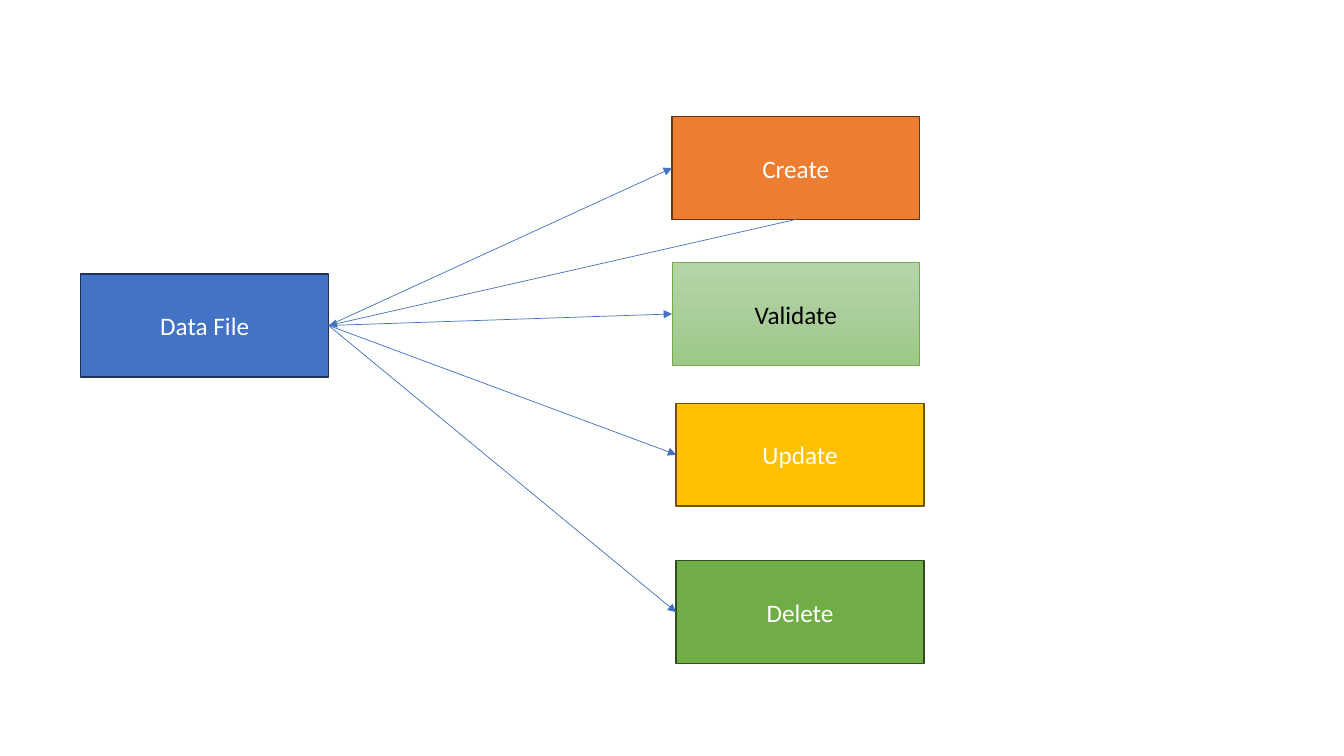
from copy import deepcopy

from pptx import Presentation
from pptx.dml.color import RGBColor
from pptx.enum.shapes import MSO_CONNECTOR, MSO_SHAPE
from pptx.enum.text import MSO_ANCHOR, PP_ALIGN
from pptx.oxml.ns import qn
from pptx.util import Pt
from lxml.etree import SubElement

PX = 9525
BOX_W, BOX_H = 236, 98
TOP, LEFT, BOTTOM, RIGHT = range(4)
COLORS = {
    "blue": "4472C4", "blue_edge": "1E3256",
    "orange": "ED7D31", "orange_edge": "683715",
    "gold": "FFC000", "gold_edge": "705400",
    "green": "70AD47", "green_edge": "314C1F",
    "pale_top": "B5D5A7", "pale_mid": "AACE9A", "pale_bottom": "9CC987",
    "white": "FFFFFF", "black": "000000",
}


def rgb(name):
    return RGBColor.from_string(COLORS[name])


def add_box(slide, text, x, y, fill, edge, edge_pt=1, font="white"):
    sp = slide.shapes.add_shape(
        MSO_SHAPE.RECTANGLE, x * PX, y * PX, BOX_W * PX, BOX_H * PX)
    sp.shadow.inherit = False
    sp.fill.solid()
    sp.fill.fore_color.rgb = rgb(fill)
    sp.line.color.rgb = rgb(edge)
    sp.line.width = Pt(edge_pt)
    tf = sp.text_frame
    tf.vertical_anchor = MSO_ANCHOR.MIDDLE
    p = tf.paragraphs[0]
    p.text = text
    p.alignment = PP_ALIGN.CENTER
    p.font.size = Pt(18)
    p.font.name = "Calibri"
    p.font.color.rgb = rgb(font)
    return sp


def set_gradient(sp, names):
    sp.fill.gradient()
    sp.fill.gradient_angle = 270
    stops = sp._element.spPr.find(qn("a:gradFill")).find(qn("a:gsLst"))
    while len(stops) < len(names):
        stops.insert(1, deepcopy(stops[0]))
    for i, (stop, name) in enumerate(zip(sp.fill.gradient_stops, names)):
        stop.position = i / (len(names) - 1)
        stop.color.rgb = rgb(name)


def add_arrow(slide, start, start_side, end, end_side):
    cxn = slide.shapes.add_connector(MSO_CONNECTOR.STRAIGHT, 0, 0, 0, 0)
    cxn.begin_connect(start, start_side)
    cxn.end_connect(end, end_side)
    cxn.line.color.rgb = rgb("blue")
    cxn.line.width = Pt(0.5)
    SubElement(cxn.line._get_or_add_ln(), qn("a:tailEnd"), type="triangle")
    SubElement(cxn._element.spPr, qn("a:effectLst"))


def main():
    prs = Presentation()
    prs.slide_width, prs.slide_height = 1280 * PX, 720 * PX
    slide = prs.slides.add_slide(prs.slide_layouts[6])

    data_file = add_box(slide, "Data File", 77, 261, "blue", "blue_edge")
    create = add_box(slide, "Create", 640, 111, "orange", "orange_edge")
    update = add_box(slide, "Update", 644, 384, "gold", "gold_edge")
    delete = add_box(slide, "Delete", 644, 534, "green", "green_edge")
    validate = add_box(slide, "Validate", 640, 250, "pale_mid", "green", 0.5, "black")
    set_gradient(validate, ["pale_top", "pale_mid", "pale_bottom"])

    add_arrow(slide, data_file, RIGHT, create, LEFT)
    add_arrow(slide, create, BOTTOM, data_file, RIGHT)
    for action in (update, delete, validate):
        add_arrow(slide, data_file, RIGHT, action, LEFT)

    prs.save("out.pptx")


if __name__ == "__main__":
    main()
